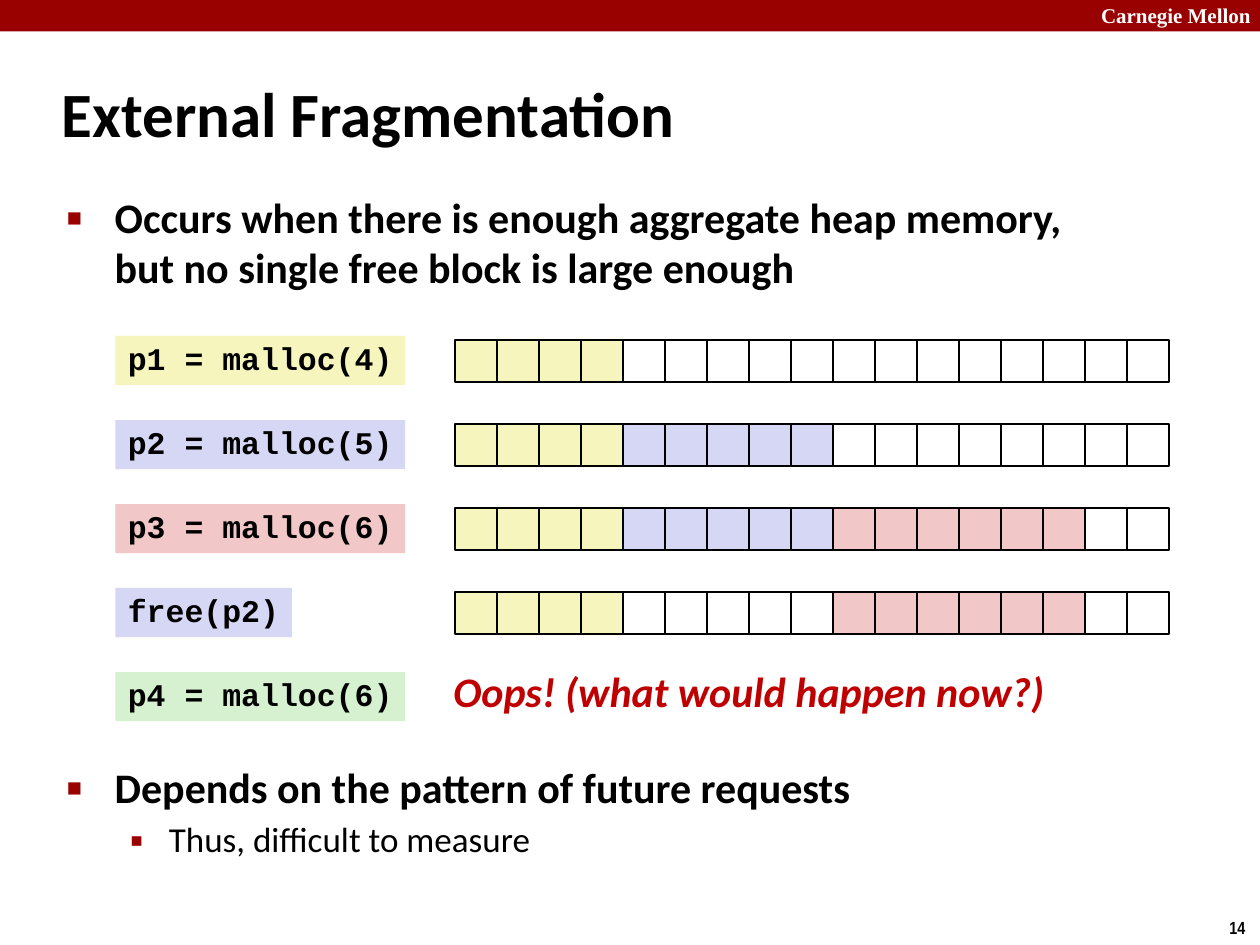
from lxml import etree
from pptx import Presentation
from pptx.dml.color import RGBColor
from pptx.enum import shapes, text
from pptx.oxml.ns import qn
from pptx.util import Inches, Pt

COLORS = {
    "crimson": "990000", "alert": "C00000", "black": "000000", "white": "FFFFFF",
    "p1": "F6F5BD", "p2": "D6D6F5", "p3": "F1C7C7", "p4": "D5F1CF", "free": "FFFFFF",
}
UNIT = Inches(1) / 3      # one heap word; the slide is 30 by 22.5 units
HEAP_LEFT, HEAP_TOP, HEAP_WORDS = 10.83, 8.1, 17
LABEL_LEFT, LABEL_TOP = 2.75, 8
ROW_STEP = 2

# Statement, colour of its label, heap blocks after it as (owner, words)
STEPS = [
    ("p1 = malloc(4)", "p1", [("p1", 4)]),
    ("p2 = malloc(5)", "p2", [("p1", 4), ("p2", 5)]),
    ("p3 = malloc(6)", "p3", [("p1", 4), ("p2", 5), ("p3", 6)]),
    ("free(p2)", "p2", [("p1", 4), ("free", 5), ("p3", 6)]),
    ("p4 = malloc(6)", "p4", []),
]


def rgb(name):
    return RGBColor.from_string(COLORS[name])


def grid(*units):
    return [round(unit * UNIT) for unit in units]


def place(shape, left, top, width, height):
    shape.left, shape.top, shape.width, shape.height = map(
        Inches, (left, top, width, height))


def style(paragraph, size, color="black", name="Calibri", bold=True, italic=False):
    font = paragraph.font
    font.size, font.name, font.bold, font.italic = Pt(size), name, bold, italic
    font.color.rgb = rgb(color)


def add_bullet(paragraph, character, percent, left, hanging):
    properties = paragraph._p.get_or_add_pPr()
    properties.set("marL", str(Inches(left)))
    properties.set("indent", str(-Inches(hanging)))
    color = etree.SubElement(properties, qn("a:buClr"))
    etree.SubElement(color, qn("a:srgbClr"), val=COLORS["crimson"])
    etree.SubElement(properties, qn("a:buSzPct"), val=str(percent * 1000))
    etree.SubElement(properties, qn("a:buChar"), char=character)


def add_rectangle(parent, box, color, outlined=False):
    shape = parent.add_shape(shapes.MSO_SHAPE.RECTANGLE, *box)
    shape.shadow.inherit = False
    shape.fill.solid()
    shape.fill.fore_color.rgb = rgb(color)
    if outlined:
        shape.line.color.rgb = rgb("black")
        shape.line.width = Pt(1)
    else:
        shape.line.fill.background()
    return shape


def add_text(slide, box, content, size, **font):
    shape = slide.shapes.add_textbox(*map(Inches, box))
    shape.text_frame.word_wrap = False
    paragraph = shape.text_frame.paragraphs[0]
    paragraph.text = content
    style(paragraph, size, **font)


def add_label(slide, row, statement, color):
    # Monospaced text: the width follows from the number of characters
    width = 0.15 * len(statement) + 0.2
    left, top = grid(LABEL_LEFT, LABEL_TOP + row * ROW_STEP)
    label = add_rectangle(
        slide.shapes, (left, top, Inches(width), Inches(0.39)), color)
    frame = label.text_frame
    frame.word_wrap = False
    frame.vertical_anchor = text.MSO_ANCHOR.TOP
    paragraph = frame.paragraphs[0]
    paragraph.text = statement
    paragraph.alignment = text.PP_ALIGN.LEFT
    paragraph.line_spacing = 0.94
    style(paragraph, 18, name="Courier New")


def add_heap(slide, row, blocks):
    words = [owner for owner, count in blocks for _ in range(count)]
    words += ["free"] * (HEAP_WORDS - len(words))
    group = slide.shapes.add_group_shape()
    for column, owner in enumerate(words):
        box = grid(HEAP_LEFT + column, HEAP_TOP + row * ROW_STEP, 1, 1)
        add_rectangle(group.shapes, box, owner, outlined=True)


def fill_title(slide, content):
    title = slide.shapes.title
    place(title, 0.39, 0.48, 8.3, 0.83)
    frame = title.text_frame
    frame.auto_size = text.MSO_AUTO_SIZE.NONE
    frame.vertical_anchor = text.MSO_ANCHOR.MIDDLE
    paragraph = frame.paragraphs[0]
    paragraph.text = content
    paragraph.alignment = text.PP_ALIGN.LEFT
    style(paragraph, 36)


def fill_body(slide):
    body = slide.placeholders[1]
    place(body, 0.43, 1.49, 8.64, 5.44)
    frame = body.text_frame
    frame.auto_size = text.MSO_AUTO_SIZE.NONE
    frame.margin_right = Inches(0.2)
    main_bullet, sub_bullet = ("■", 60, 0.38, 0.38), ("▪", 110, 0.81, 0.31)
    # Level, space before, bullet, size, bold; the heap rows sit in the large space
    items = [
        ("Occurs when there is enough aggregate heap memory, "
         "but no single free block is large enough", 0, 0, main_bullet, 24, True),
        ("Depends on the pattern of future requests", 0, 269, main_bullet, 24, True),
        ("Thus, difficult to measure", 1, 4, sub_bullet, 20, False),
    ]
    for index, (content, level, space, bullet, size, bold) in enumerate(items):
        paragraph = frame.add_paragraph() if index else frame.paragraphs[0]
        paragraph.text = content
        paragraph.level = level
        paragraph.line_spacing = 0.98
        paragraph.space_before = Pt(space)
        add_bullet(paragraph, *bullet)
        style(paragraph, size, bold=bold)


def main():
    presentation = Presentation()
    presentation.slide_width, presentation.slide_height = Inches(10), Inches(7.5)
    slide = presentation.slides.add_slide(presentation.slide_layouts[1])

    # Header band and page number
    add_rectangle(slide.shapes, map(Inches, (0, 0, 10, 0.25)), "crimson")
    add_text(slide, (8.64, -0.03, 1.43, 0.3), "Carnegie Mellon", 12,
             color="white", name="Times New Roman")
    add_text(slide, (9.66, 7.23, 0.34, 0.27), "14", 10, name="Arial Narrow")

    # Title and list
    fill_title(slide, "External Fragmentation")
    fill_body(slide)

    # Statements with the heap after each
    for row, (statement, color, blocks) in enumerate(STEPS):
        add_label(slide, row, statement, color)
        if blocks:
            add_heap(slide, row, blocks)
    add_text(slide, (3.5, 5.23, 4.93, 0.5), "Oops! (what would happen now?)", 24,
             color="alert", italic=True)

    presentation.save("out.pptx")


if __name__ == "__main__":
    main()
